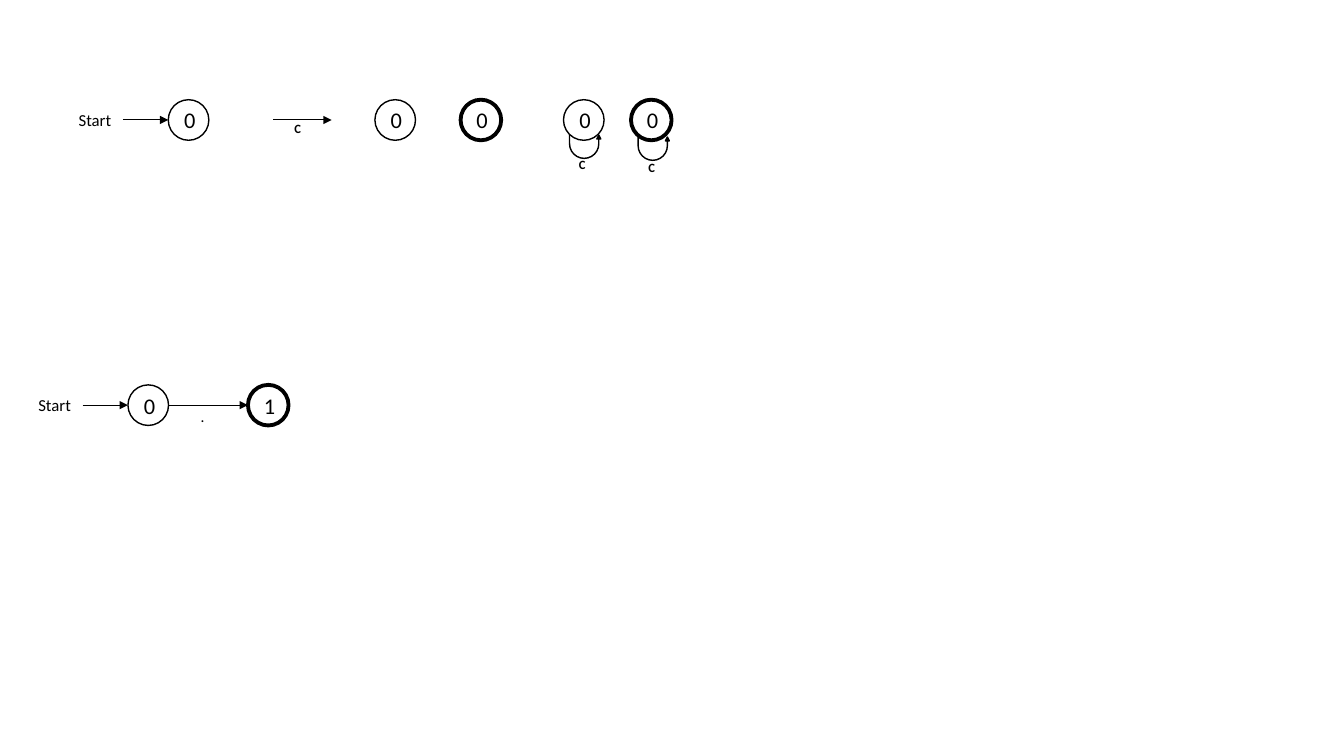
from dataclasses import dataclass

from lxml import etree
from pptx import Presentation
from pptx.dml.color import RGBColor
from pptx.enum.shapes import MSO_CONNECTOR, MSO_SHAPE
from pptx.enum.text import MSO_ANCHOR, PP_ALIGN
from pptx.oxml.ns import qn
from pptx.util import Pt

OVAL = MSO_SHAPE.OVAL
U_TURN = MSO_SHAPE.U_TURN_ARROW
STRAIGHT = MSO_CONNECTOR.STRAIGHT
MIDDLE = MSO_ANCHOR.MIDDLE
CENTER = PP_ALIGN.CENTER


@dataclass(frozen=True)
class Theme:
    ink: RGBColor = RGBColor(0, 0, 0)
    font: str = "Calibri"
    state_size: float = 16
    start_size: float = 12
    symbol_size: float = 9
    thin: float = 0.75
    plain: float = 1
    accepting: float = 2.75


@dataclass(frozen=True)
class State:
    name: str
    left: float
    middle: float
    accepting: bool = False
    start: bool = False


@dataclass(frozen=True)
class Edge:
    """A transition arrow; the symbol sits at an offset from its tail."""
    symbol: str
    left: float
    right: float
    middle: float
    symbol_dx: float
    symbol_dy: float


@dataclass(frozen=True)
class Loop:
    """A self transition hanging under a state."""
    symbol: str
    left: float
    top: float
    symbol_dx: float
    symbol_dy: float


THEME = Theme()
DIAMETER = 29
START_ARROW = 32.4
START_BOX = (38.2, 21.6)
SYMBOL_BOX = (11.5, 18)
LOOP_BOX = (22.3, 16.6)
LOOP_BENDS = (0, 0.085, 0.164, 0.717, 1)
PARTS_ROW = 85.7
MACHINE_ROW = 289.4

STATES = [
    State("0", 120.2, PARTS_ROW, start=True),
    State("0", 267.8, PARTS_ROW),
    State("0", 329, PARTS_ROW, accepting=True),
    State("0", 402.5, PARTS_ROW),
    State("0", 450.7, PARTS_ROW, accepting=True),
    State("0", 91.4, MACHINE_ROW, start=True),
    State("1", 177.1, MACHINE_ROW, accepting=True),
]
EDGES = [
    Edge("C", 195.1, 236.9, PARTS_ROW, 10.8, -2.9),
    Edge(".", 120.2, 177.1, MACHINE_ROW, 18.8, 0),
]
LOOPS = [
    Loop("C", 406.8, 96.5, 2.2, 12.2),
    Loop("C", 455.8, 97.9, 2.9, 13),
]


def write(frame, text: str, *, size: float, bold: bool = False, align=None) -> None:
    """Put one formatted span into a text frame."""
    para = frame.paragraphs[0]
    para.alignment = align
    span = para.add_run()
    span.text = text
    span.font.name = THEME.font
    span.font.size = Pt(size)
    span.font.bold = bold
    span.font.color.rgb = THEME.ink


def add_label(page, text: str, left: float, top: float,
              extent: tuple[float, float], *, size: float, bold: bool = False) -> None:
    box = page.shapes.add_textbox(Pt(left), Pt(top), *map(Pt, extent))
    box.text_frame.word_wrap = False
    write(box.text_frame, text, size=size, bold=bold)


def add_symbol(page, text: str, left: float, top: float) -> None:
    add_label(page, text, left, top, SYMBOL_BOX, size=THEME.symbol_size, bold=True)


def add_arrow(page, left: float, right: float, middle: float) -> None:
    arrow = page.shapes.add_connector(STRAIGHT, Pt(left), Pt(middle), Pt(right), Pt(middle))
    arrow.line.color.rgb = THEME.ink
    arrow.line.width = Pt(THEME.thin)
    outline = arrow.line._get_or_add_ln()
    etree.SubElement(outline, qn("a:tailEnd"), type="triangle")
    etree.SubElement(arrow.element.spPr, qn("a:effectLst"))


def add_state(page, state: State) -> None:
    # Start label and incoming arrow
    if state.start:
        tail = state.left - START_ARROW
        width, height = START_BOX
        add_label(page, "Start", tail - width - 0.5, state.middle - height / 2,
                  START_BOX, size=THEME.start_size)
        add_arrow(page, tail, state.left, state.middle)
    # Circle, heavy when accepting
    circle = page.shapes.add_shape(OVAL, Pt(state.left), Pt(state.middle - DIAMETER / 2),
                                   Pt(DIAMETER), Pt(DIAMETER))
    circle.shadow.inherit = False
    circle.fill.background()
    circle.line.color.rgb = THEME.ink
    circle.line.width = Pt(THEME.accepting if state.accepting else THEME.plain)
    circle.text_frame.vertical_anchor = MIDDLE
    write(circle.text_frame, state.name, size=THEME.state_size, align=CENTER)


def add_edge(page, edge: Edge) -> None:
    add_arrow(page, edge.left, edge.right, edge.middle)
    add_symbol(page, edge.symbol, edge.left + edge.symbol_dx, edge.middle + edge.symbol_dy)


def add_loop(page, loop: Loop) -> None:
    bend = page.shapes.add_shape(U_TURN, Pt(loop.left), Pt(loop.top), *map(Pt, LOOP_BOX))
    for index, value in enumerate(LOOP_BENDS):
        bend.adjustments[index] = value
    bend.rotation = 180
    bend.element.spPr.find(qn("a:xfrm")).set("flipH", "1")
    bend.shadow.inherit = False
    bend.fill.solid()
    bend.fill.fore_color.rgb = THEME.ink
    bend.line.color.rgb = THEME.ink
    bend.line.width = Pt(THEME.plain)
    add_symbol(page, loop.symbol, loop.left + loop.symbol_dx, loop.top + loop.symbol_dy)


def main() -> None:
    deck = Presentation()
    deck.slide_width, deck.slide_height = Pt(960), Pt(540)
    page = deck.slides.add_slide(deck.slide_layouts[6])
    for state in STATES:
        add_state(page, state)
    for edge in EDGES:
        add_edge(page, edge)
    for loop in LOOPS:
        add_loop(page, loop)
    deck.save("out.pptx")


if __name__ == "__main__":
    main()
